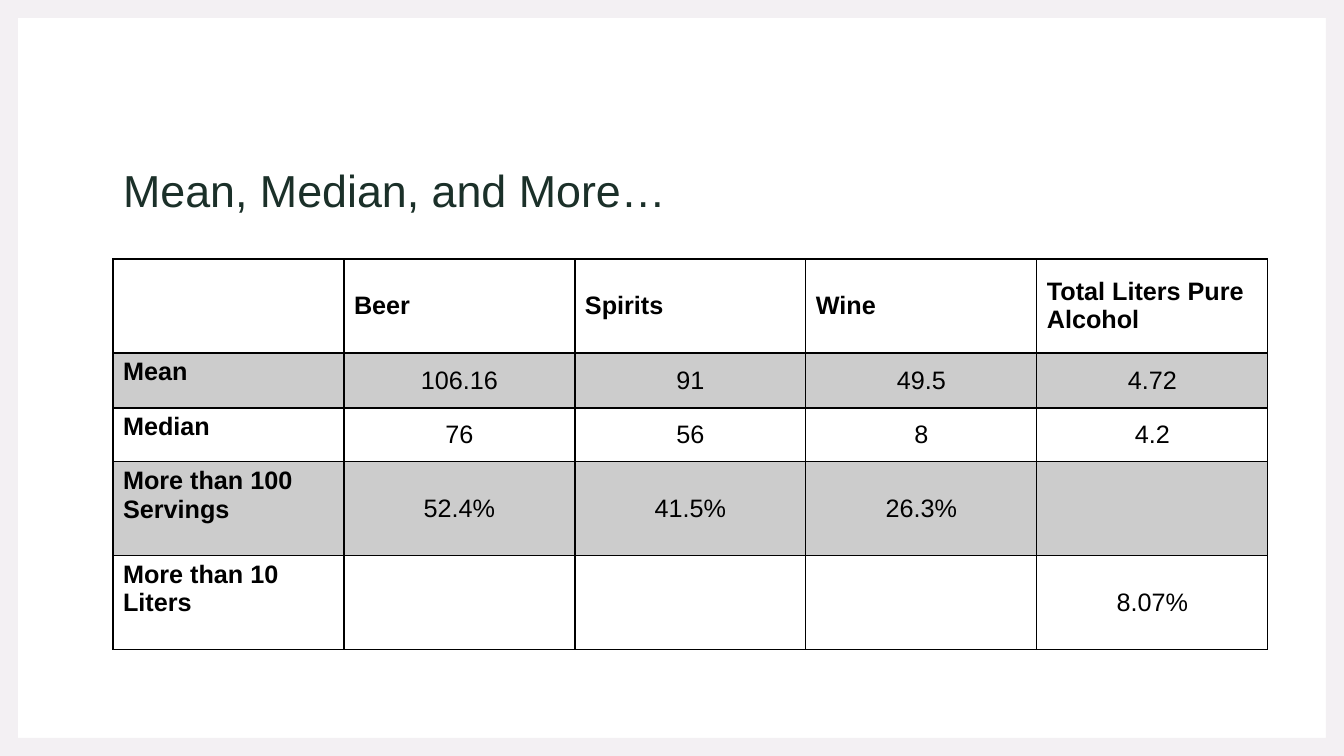
from lxml import etree
from pptx import Presentation
from pptx.dml.color import RGBColor as RGB
from pptx.enum.shapes import MSO_SHAPE as SHAPE
from pptx.enum.text import MSO_ANCHOR as ANCHOR, MSO_AUTO_SIZE as AUTO, PP_ALIGN as ALIGN
from pptx.oxml.ns import qn
from pptx.util import Emu, Pt

W, H = 1344, 756
COLORS = {"frame": "F3F0F3", "title": "1B3029", "ink": "000000"}
HEADER = ["", "Beer", "Spirits", "Wine", "Total Liters Pure Alcohol"]
STATS = [
    ["Mean", "106.16", "91", "49.5", "4.72"],
    ["Median", "76", "56", "8", "4.2"],
    ["More than 100 Servings", "52.4%", "41.5%", "26.3%", ""],
    ["More than 10 Liters", "", "", "", "8.07%"],
]
ROW_HEIGHTS = [94, 55, 54, 94, 94]


def px(n):
    return Emu(round(n * 914400 / 100.8))


def color(name):
    return RGB.from_string(COLORS[name])


def write(tf, text, size=18, ink="ink", bold=False, align=ALIGN.LEFT, spacing=None):
    p = tf.paragraphs[0]
    p.alignment = align
    p.line_spacing = spacing
    p.font.size = Pt(size)
    if text:
        r = p.add_run()
        r.text = text
        f = r.font
        f.name, f.size, f.bold = "Arial", Pt(size), bold
        f.color.rgb = color(ink)


def add_frame(slide, x, y, w, h, thickness):
    sp = slide.shapes.add_shape(SHAPE.FRAME, px(x), px(y), px(w), px(h))
    sp.shadow.inherit = False
    sp.adjustments[0] = thickness / min(w, h)
    sp.fill.solid()
    sp.fill.fore_color.rgb = color("frame")
    sp.line.fill.background()


def add_title(slide, x, y, w, h):
    sp = slide.shapes.title
    sp.left, sp.top, sp.width, sp.height = px(x), px(y), px(w), px(h)
    tf = sp.text_frame
    tf.word_wrap, tf.auto_size = True, AUTO.NONE
    tf.vertical_anchor = ANCHOR.BOTTOM
    write(tf, "Mean, Median, and More…", size=32, ink="title", spacing=1.1)


def set_borders(cell, **widths):
    tcPr = cell._tc.get_or_add_tcPr()
    for side in "LRTB":
        ln = etree.SubElement(tcPr, qn("a:ln" + side), w=str(Pt(widths.get(side, 1))))
        fill = etree.SubElement(ln, qn("a:solidFill"))
        etree.SubElement(fill, qn("a:srgbClr"), val=COLORS["ink"])


def set_fill(cell, banded):
    if not banded:
        cell.fill.background()
        return
    cell.fill.solid()
    cell.fill.fore_color.rgb = color("ink")
    clr = cell._tc.tcPr.find(".//" + qn("a:solidFill") + "[last()]/" + qn("a:srgbClr"))
    clr = cell._tc.tcPr.find(qn("a:solidFill")).find(qn("a:srgbClr"))
    etree.SubElement(clr, qn("a:alpha"), val="20000")


def add_stats_table(slide, x, y, w, h):
    rows = [HEADER] + STATS
    table = slide.shapes.add_table(len(rows), len(HEADER), px(x), px(y), px(w), px(h)).table
    table.first_row = table.horz_banding = False
    for col in table.columns:
        col.width = px(w // len(HEADER))
    for i, values in enumerate(rows):
        table.rows[i].height = px(ROW_HEIGHTS[i])
        for j, text in enumerate(values):
            cell = table.cell(i, j)
            is_header, is_label = i == 0, j == 0
            # The rule under the header is heavier
            set_borders(cell, T=2 if i == 1 else 1, B=2 if is_header else 1)
            set_fill(cell, banded=i % 2 == 1)
            cell.vertical_anchor = ANCHOR.TOP if is_label else ANCHOR.MIDDLE
            write(cell.text_frame, text, bold=is_header or is_label,
                  align=ALIGN.LEFT if is_header or is_label else ALIGN.CENTER)


def main():
    prs = Presentation()
    prs.slide_width, prs.slide_height = px(W), px(H)
    slide = prs.slides.add_slide(prs.slide_layouts[5])
    # Border around the slide
    add_frame(slide, 0, 0, W, H, thickness=18)
    # Heading and table
    add_title(slide, 113, 80, 1117, 142)
    add_stats_table(slide, 113, 259, 1155, sum(ROW_HEIGHTS))
    prs.save("out.pptx")


if __name__ == "__main__":
    main()
